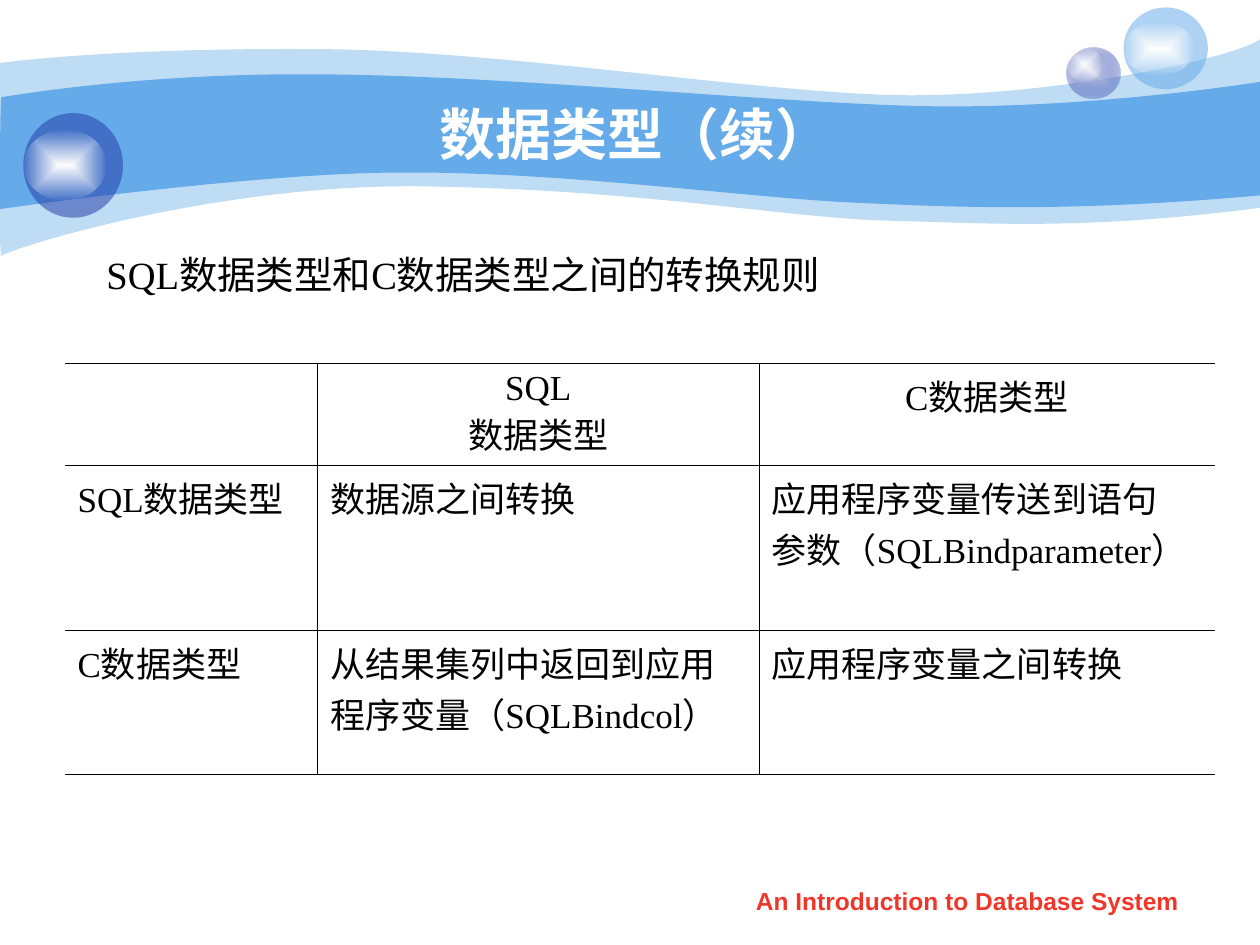
from typing import NamedTuple

from pptx import Presentation
from pptx.dml.color import RGBColor
from pptx.enum.shapes import MSO_SHAPE as Geom
from pptx.enum.text import MSO_ANCHOR as Anchor, MSO_AUTO_SIZE as Fit, PP_ALIGN as Align
from pptx.oxml import parse_xml
from pptx.oxml.ns import qn
from pptx.util import Cm, Pt

SKY = RGBColor(0x65, 0xAA, 0xE9)
NAVY = RGBColor(0x23, 0x3D, 0xA9)
LILAC = RGBColor(0xC6, 0xCC, 0xE8)
PEARL = RGBColor(0xFE, 0xFE, 0xFE)
WHITE = RGBColor(0xFF, 0xFF, 0xFF)
BLACK = RGBColor(0, 0, 0)
RED = RGBColor(0xF0, 0x36, 0x28)
NS = 'xmlns:a="http://schemas.openxmlformats.org/drawingml/2006/main"'
HANG = Cm(0.97)


class Wave(NamedTuple):
    """Two edges, each a start point followed by cubic Bezier triples."""
    top: list
    low: list
    alpha: int


class Stop(NamedTuple):
    color: RGBColor
    alpha: int


class Ball(NamedTuple):
    box: tuple
    stops: tuple


class Style(NamedTuple):
    size: int
    font: str
    color: RGBColor
    bold: bool = False


WAVES = [
    Wave([(0, 1.27), (0.61, 1.19), (2.72, 0.97), (6.27, 0.99),
          (9.8, 0.99), (14.61, 1.78), (17.75, 1.91),
          (20.88, 2.03), (24.89, 1.19), (25.4, 0.79)],
         [(25.4, 4.19), (21.79, 4.65), (19.99, 4.5), (17.91, 4.45),
          (15.8, 4.39), (13.08, 3.84), (8.71, 3.76),
          (4.37, 3.66), (0.1, 5.05), (0.03, 5.16),
          (-0.03, 5.28), (0, 1.9), (0, 1.27)], 41),
    Wave([(0.03, 1.96), (0.05, 1.96), (2.79, 1.47), (6.3, 1.5),
          (9.8, 1.5), (15.11, 2.03), (18.24, 2.13),
          (21.36, 2.24), (24.79, 1.75), (25.4, 1.65)],
         [(25.4, 3.94), (21.67, 4.27), (19.43, 4.19), (17.32, 4.09),
          (15.21, 4.01), (11.35, 3.45), (8.05, 3.48),
          (5.16, 3.48), (-0.05, 4.22), (-0.03, 4.22),
          (0, 4.22), (0, 1.96), (0.03, 1.96)], 100),
]
GLOW = (Stop(WHITE, 100), Stop(PEARL, 0))
BALLS = [
    Ball((21.51, 0.96, 1.07, 1.02), (Stop(LILAC, 100), Stop(NAVY, 31))),
    Ball((21.51, 0.96, 0.71, 0.69), GLOW),
    Ball((22.65, 0.15, 1.7, 1.65), (Stop(SKY, 53),)),
    Ball((22.65, 0.43, 1.42, 1.09), GLOW),
    Ball((0.47, 2.28, 2.01, 2.11), (Stop(NAVY, 53),)),
    Ball((0.47, 2.62, 1.68, 1.42), GLOW),
]
HEAD = Style(32, "Arial", WHITE, True)
LEAD = Style(22, "Times New Roman", BLACK)
BODY = Style(20, "Times New Roman", BLACK)
FOOT = Style(14, "Arial", RED, True)
COLS = (5.09, 8.9, 9.19)
ROWS = (1.96, 2.9, 2.9)
CELLS = [
    ("", "SQL\n数据类型", "C数据类型"),
    ("SQL数据类型", "数据源之间转换",
     "应用程序变量传送到语句\n参数（SQLBindparameter）"),
    ("C数据类型", "从结果集列中返回到应用\n程序变量（SQLBindcol）",
     "应用程序变量之间转换"),
]


def paint(shape, stops: tuple) -> None:
    """Fill with one colour, or with a gradient from the centre outwards."""
    shape.shadow.inherit = False
    shape.line.fill.background()
    shape.fill.solid()
    tints = [f'<a:srgbClr {NS} val="{s.color}"><a:alpha val="{s.alpha * 1000}"/></a:srgbClr>'
             for s in stops]
    if len(tints) == 1:
        fill = f'<a:solidFill {NS}>{tints[0]}</a:solidFill>'
    else:
        fill = (f'<a:gradFill {NS} rotWithShape="1"><a:gsLst>'
                f'<a:gs pos="0">{tints[0]}</a:gs><a:gs pos="100000">{tints[1]}</a:gs>'
                '</a:gsLst><a:path path="rect">'
                '<a:fillToRect l="50000" t="50000" r="50000" b="50000"/>'
                '</a:path></a:gradFill>')
    props = shape.element.spPr
    props.replace(props.find(qn("a:solidFill")), parse_xml(fill))


def bend(lines: list) -> None:
    """Turn each three line segments into one cubic Bezier curve."""
    for i in range(0, len(lines), 3):
        curve = parse_xml(f'<a:cubicBezTo {NS}/>')
        lines[i].addprevious(curve)
        for line in lines[i:i + 3]:
            curve.append(line[0])
            line.getparent().remove(line)


def draw_wave(shapes, wave: Wave) -> None:
    pts = [(Cm(x), Cm(y)) for x, y in wave.top + wave.low]
    pen = shapes.build_freeform(*pts[0])
    pen.add_line_segments(pts[1:], close=True)
    shape = pen.convert_to_shape()
    lines = list(shape.element.iter(qn("a:lnTo")))
    side = len(wave.top) - 1
    bend(lines[:side])
    bend(lines[side + 1:])
    paint(shape, (Stop(SKY, wave.alpha),))


def draw_ball(shapes, ball: Ball) -> None:
    paint(shapes.add_shape(Geom.OVAL, *map(Cm, ball.box)), ball.stops)


def write(frame, text: str, style: Style, align: Align, hang: bool = False) -> None:
    frame.text = text
    for para in frame.paragraphs:
        para.alignment = align
        if hang:
            props = para._p.get_or_add_pPr()
            props.set("marL", str(HANG))
            props.set("indent", str(-HANG))
        for run in para.runs:
            font = run.font
            font.size, font.name, font.bold = Pt(style.size), style.font, style.bold
            font.color.rgb = style.color


def rule(cell, sides: str) -> None:
    """Draw thin borders on the named sides and clear the others."""
    props = cell._tc.get_or_add_tcPr()
    for i, side in enumerate("LRTB"):
        fill = (f'<a:solidFill><a:srgbClr val="{BLACK}"/></a:solidFill>'
                if side in sides else '<a:noFill/>')
        props.insert(i, parse_xml(f'<a:ln{side} {NS} w="{Pt(0.45)}">{fill}</a:ln{side}>'))


def draw_table(shapes) -> None:
    table = shapes.add_table(len(ROWS), len(COLS), Cm(1.31), Cm(7.32),
                             Cm(sum(COLS)), Cm(sum(ROWS))).table
    table.first_row = table.horz_banding = False
    for col, width in zip(table.columns, COLS):
        col.width = Cm(width)
    for r, (height, texts) in enumerate(zip(ROWS, CELLS)):
        table.rows[r].height = Cm(height)
        for c, text in enumerate(texts):
            cell = table.cell(r, c)
            cell.fill.background()
            rule(cell, "TB" + "L" * (c > 0) + "R" * (c < len(COLS) - 1))
            write(cell.text_frame, text, BODY, Align.LEFT if r else Align.CENTER, True)


def main() -> None:
    deck = Presentation()
    deck.slide_width, deck.slide_height = Cm(25.4), Cm(19.05)
    slide = deck.slides.add_slide(deck.slide_layouts[5])
    shapes = slide.shapes
    title = shapes.title
    for wave in WAVES:
        draw_wave(shapes, wave)
    for ball in BALLS:
        draw_ball(shapes, ball)

    shapes._spTree.append(title.element)
    title.left, title.top, title.width, title.height = map(Cm, (2.55, 1.9, 20.52, 1.57))
    title.text_frame.vertical_anchor = Anchor.MIDDLE
    write(title.text_frame, "数据类型（续）", HEAD, Align.CENTER)

    draw_table(shapes)

    lead = shapes.add_textbox(*map(Cm, (0.66, 4.93, 17.35, 1.19))).text_frame
    lead.word_wrap = False
    lead.auto_size = Fit.SHAPE_TO_FIT_TEXT
    write(lead, "SQL数据类型和C数据类型之间的转换规则", LEAD, Align.CENTER, True)

    foot = shapes.add_textbox(*map(Cm, (14.5, 17.73, 10.01, 0.89))).text_frame
    foot.word_wrap = True
    write(foot, "An Introduction to Database System", FOOT, Align.CENTER)

    deck.save("out.pptx")


if __name__ == "__main__":
    main()
